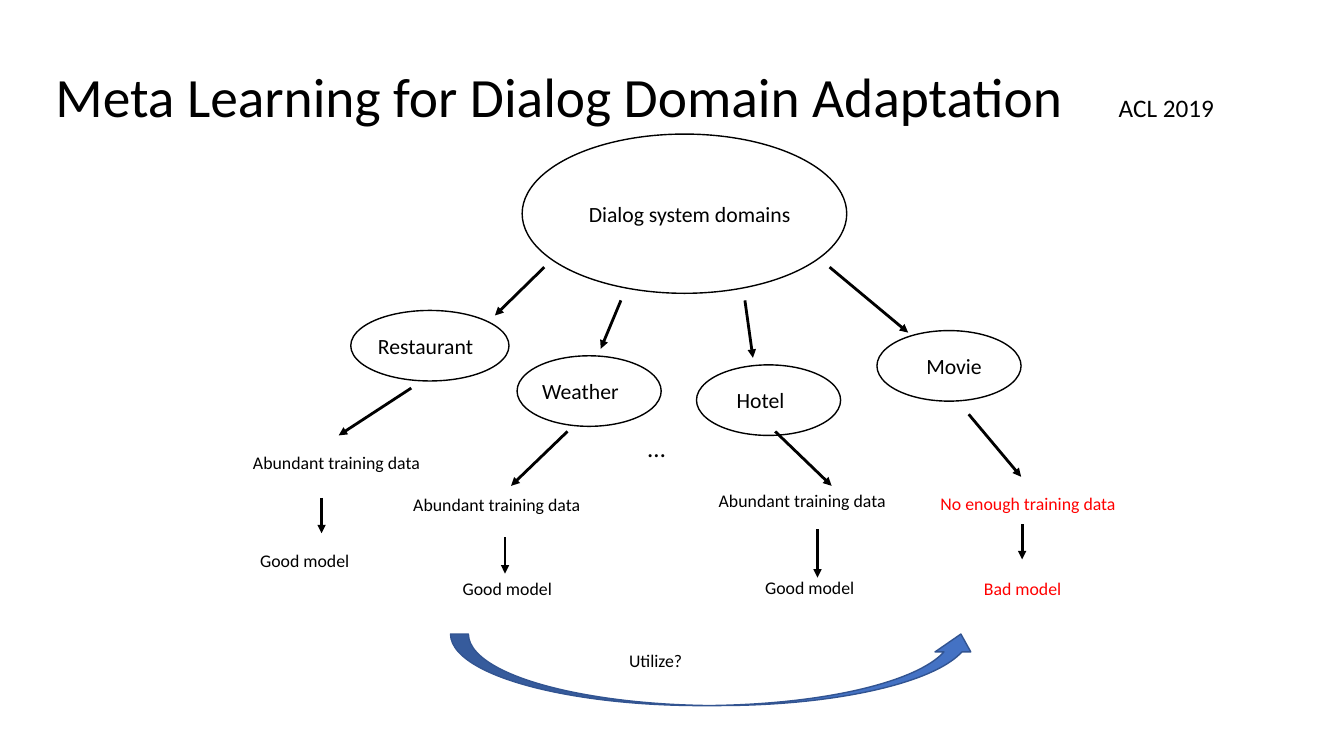
from pptx import Presentation
from pptx import util as u
from pptx.dml.color import RGBColor
from pptx.enum import shapes, text
from pptx.oxml import parse_xml
from pptx.oxml.ns import nsdecls, qn
from lxml import etree

CELL = u.Inches(0.1)
COLUMNS, ROWS = 133.33, 75
COLORS = {"ink": "000000", "alert": "FF0000", "arrow": "4472C4", "edge": "325491"}
FONT = "Calibri"
TIGHT = dict.fromkeys(("margin_left", "margin_right", "margin_top", "margin_bottom"), u.Inches(0.04))
MIDDLE = {"vertical_anchor": text.MSO_ANCHOR.MIDDLE}

DOMAINS = [
    ("Restaurant", 34.8, 30.8, 15.7, 0),
    ("Weather", 51.3, 35.3, 14.3, 0),
    ("Hotel", 69.1, 36.2, 14.3, 1.5),
    ("Movie", 87, 32.8, 14.3, 2.4),
]
OUTCOMES = [
    ("Abundant training data", 24.7, 44.4, "Good model", 25.4, 54.1, 9.7, "ink"),
    ("Abundant training data", 40.6, 48.6, "Good model", 45.5, 56.9, 9.7, "ink"),
    ("Abundant training data", 70.9, 48.2, "Good model", 75.5, 56.8, 9.7, "ink"),
    ("No enough training data", 92.9, 48.5, "Bad model", 97.2, 56.9, 8.5, "alert"),
]
DOMAIN_ARROWS = [
    (54, 26.5, 49.1, 31.3),
    (61.6, 29.8, 59.6, 34.6),
    (73.9, 29.8, 74.7, 35.5),
    (82.3, 26.5, 90.1, 33),
]
DATA_ARROWS = [
    (40.8, 38.5, 33.6, 43.2),
    (56.3, 42.8, 50.7, 48.2),
    (76.9, 42.8, 82.5, 48.2),
    (96.1, 41.1, 101.3, 47.3),
]
MODEL_ARROWS = [(31.9, 49.4, 3.5), (50.1, 53.3, 3.6), (81.1, 52.5, 4.8), (101.4, 52, 3.5)]


def cells(*counts):
    return [round(count * CELL) for count in counts]


def color(name):
    return RGBColor.from_string(COLORS[name])


def apply(target, values):
    for name, value in values.items():
        setattr(target, name, value)


def write(box, wording, size, ink="ink", indent=0, **frame_values):
    frame = box.text_frame
    apply(frame, frame_values)
    para = frame.paragraphs[0]
    para.alignment = text.PP_ALIGN.LEFT
    if indent:
        para._p.get_or_add_pPr().set("marL", str(cells(indent)[0]))
    span = para.add_run()
    span.text = wording
    apply(span.font, {"name": FONT, "size": u.Pt(size)})
    span.font.color.rgb = color(ink)
    return para


def add_label(page, wording, left, top, width, height=2.9, size=12.7, ink="ink", wrap=False, **frame_values):
    box = page.shapes.add_textbox(*cells(left, top, width, height))
    write(box, wording, size, ink, word_wrap=wrap, **frame_values)


def add_outline(page, kind, place, edge):
    shape = page.shapes.add_shape(kind, *cells(*place))
    shape.shadow.inherit = False
    shape.line.color.rgb = color(edge)
    shape.line.width = u.Pt(1)
    return shape


def add_bubble(page, wording, left, top, width, height=7, indent=0):
    bubble = add_outline(page, shapes.MSO_SHAPE.OVAL, (left, top, width, height), "ink")
    bubble.fill.background()
    write(bubble, wording, 15.5, indent=indent, **TIGHT, **MIDDLE)


def add_arrow(page, *ends):
    arrow = page.shapes.add_connector(shapes.MSO_CONNECTOR.STRAIGHT, *cells(*ends))
    arrow.line.color.rgb = color("ink")
    arrow.line.width = u.Pt(2)
    etree.SubElement(arrow.line._get_or_add_ln(), qn("a:tailEnd"), type="triangle")
    arrow._element.spPr.append(parse_xml(f"<a:effectLst {nsdecls('a')}/>"))


def add_title(page, wording):
    title = page.shapes.title
    apply(title, dict(zip(("left", "top", "width", "height"), cells(4.5, 5.7, 124.2, 8.4))))
    margins = dict.fromkeys(TIGHT, CELL)
    para = write(title, wording, 39.6, word_wrap=True, auto_size=text.MSO_AUTO_SIZE.NONE,
                 **margins, **MIDDLE)
    para.line_spacing = 0.9


def add_curve(page):
    curve = add_outline(page, shapes.MSO_SHAPE.CURVED_UP_ARROW, (44.7, 62.9, 52.4, 7.1), "edge")
    curve.fill.solid()
    curve.fill.fore_color.rgb = color("arrow")


def main():
    deck = Presentation()
    deck.slide_width, deck.slide_height = cells(COLUMNS, ROWS)
    page = deck.slides.add_slide(deck.slide_layouts[5])
    add_title(page, "Meta Learning for Dialog Domain Adaptation")
    add_label(page, "ACL 2019", 110, 8.7, 15.9, 4, 18, wrap=True)
    add_bubble(page, "Dialog system domains", 51.8, 13.3, 32.2, 15.8, 1.5)
    for wording, left, top, width, indent in DOMAINS:
        add_bubble(page, wording, left, top, width, indent=indent)
    for ends in DOMAIN_ARROWS + DATA_ARROWS:
        add_arrow(page, *ends)
    for left, top, length in MODEL_ARROWS:
        add_arrow(page, left, top, left, top + length)
    for data, data_left, data_top, model, left, top, width, ink in OUTCOMES:
        add_label(page, data, data_left, data_top, 20, ink=ink, wrap=True, **TIGHT, **MIDDLE)
        add_label(page, model, left, top, width, ink=ink, **TIGHT, **MIDDLE)
    add_label(page, "…", 63.3, 42.4, 3.8, 4, 18)
    add_label(page, "Utilize?", 62, 64.1, 6.1, **TIGHT, **MIDDLE)
    add_curve(page)
    deck.save("out.pptx")


if __name__ == "__main__":
    main()
